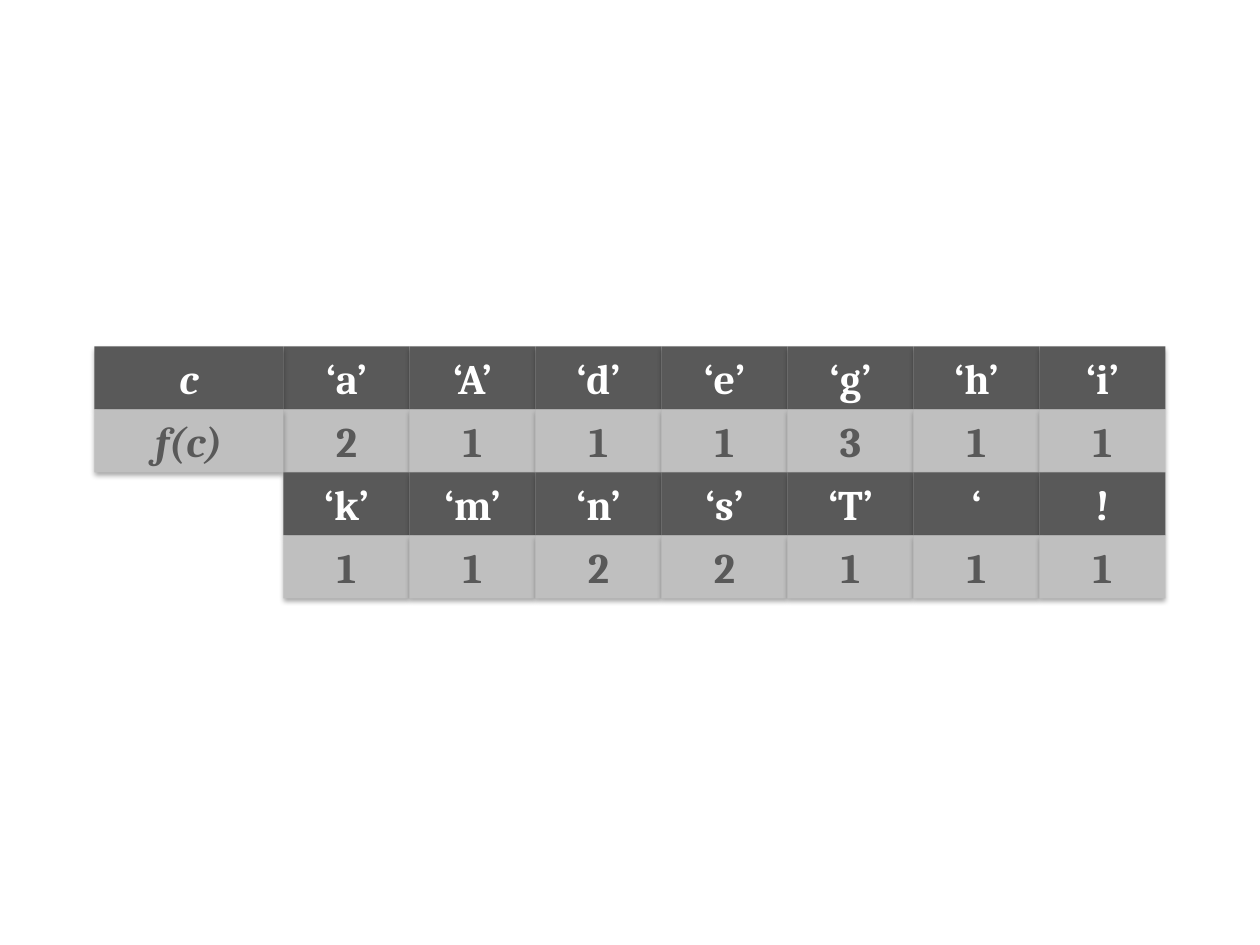
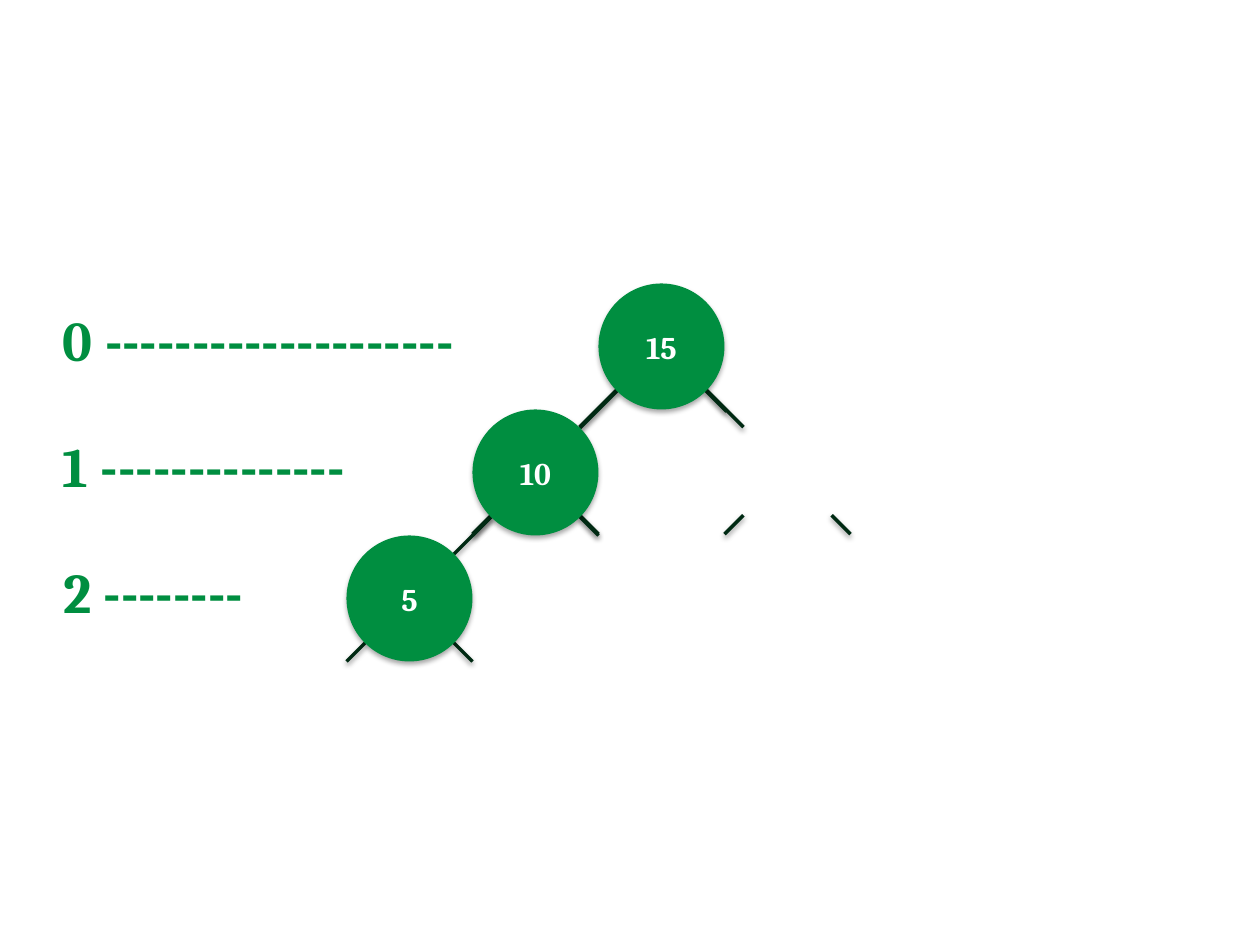
import pptx
import pptx.util
import pptx.dml.color
import pptx.enum.shapes
import pptx.enum.text
import pptx.oxml
import pptx.oxml.ns

Pt = pptx.util.Pt
SHAPES = pptx.enum.shapes.MSO_SHAPE
COLOURS = {
    "dark": "595959",
    "light": "BFBFBF",
    "white": "FFFFFF",
    "green": "008E40",
    "branch": "002A13",
    "shadow": "000000",
}


class Painter:
    font = {"name": "Cambria", "bold": True}

    def __init__(self):
        self.deck = pptx.Presentation()
        self.deck.slide_width = Pt(720)
        self.deck.slide_height = Pt(540)
        self.page = None

    def add_page(self):
        self.page = self.deck.slides.add_slide(self.deck.slide_layouts[6])

    def colour(self, name):
        return pptx.dml.color.RGBColor.from_string(COLOURS[name])

    def shadow(self, drawn, distance, opacity):
        namespace = pptx.oxml.ns.nsdecls("a")
        drawn._element.spPr.append(pptx.oxml.parse_xml(
            f'<a:effectLst {namespace}><a:outerShdw blurRad="{Pt(3.1)}" dist="{Pt(distance)}" '
            f'dir="5400000" rotWithShape="0"><a:srgbClr val="{COLOURS["shadow"]}">'
            f'<a:alpha val="{opacity * 1000}"/></a:srgbClr></a:outerShdw></a:effectLst>'))

    def add_text(self, box, text, colour, align, **style):
        box.text_frame.vertical_anchor = pptx.enum.text.MSO_ANCHOR.MIDDLE
        para = box.text_frame.paragraphs[0]
        para.alignment = align
        span = para.add_run()
        span.text = text
        for name, value in {**self.font, **style}.items():
            setattr(span.font, name, value)
        span.font.color.rgb = self.colour(colour)

    def block(self, kind, left, top, width, height, fill, text, ink, **style):
        box = self.page.shapes.add_shape(kind, Pt(left), Pt(top), Pt(width), Pt(height))
        box.fill.solid()
        box.fill.fore_color.rgb = self.colour(fill)
        box.line.fill.background()
        self.shadow(box, 1.8, 35)
        self.add_text(box, text, ink, pptx.enum.text.PP_ALIGN.CENTER, **style)

    def cell(self, left, top, width, text, header, italic=None):
        fill, ink = ("dark", "white") if header else ("light", "dark")
        self.block(SHAPES.RECTANGLE, left, top, width, 36, fill, text, ink,
                   size=Pt(24), italic=italic)

    def node(self, centre, text):
        x, y = centre
        self.block(SHAPES.OVAL, x - 36, y - 36, 72, 72, "green", text, "white", size=Pt(18))

    def branch(self, centre, side, length, lift=0):
        x, y = centre[0] + side * 25.2, centre[1] + 25.2 - lift
        line = self.page.shapes.add_connector(
            pptx.enum.shapes.MSO_CONNECTOR.STRAIGHT,
            Pt(x), Pt(y), Pt(x + side * length), Pt(y + length))
        line.line.color.rgb = self.colour("branch")
        line.line.width = Pt(2)
        self.shadow(line, 1.6, 38)

    def label(self, left, top, width, text):
        box = self.page.shapes.add_textbox(Pt(left), Pt(top), Pt(width), Pt(72))
        frame = box.text_frame
        frame.word_wrap = True
        for side in ("left", "top", "right", "bottom"):
            setattr(frame, f"margin_{side}", 0)
        self.add_text(box, text, "green", pptx.enum.text.PP_ALIGN.LEFT, size=Pt(32))


def frequency_table(painter):
    painter.add_page()
    rows = [
        ["‘a’", "‘A’", "‘d’", "‘e’", "‘g’", "‘h’", "‘i’"],
        ["2", "1", "1", "1", "3", "1", "1"],
        ["‘k’", "‘m’", "‘n’", "‘s’", "‘T’", "‘", "!"],
        ["1", "1", "2", "2", "1", "1", "1"],
    ]
    row_names = ["c", "f(c)"]
    for row, texts in enumerate(rows):
        top, header = 198 + row * 36, row % 2 == 0
        for column, text in enumerate(texts):
            painter.cell(162 + column * 72, top, 72, text, header)
        if row < len(row_names):
            painter.cell(54, top, 108, row_names[row], header, italic=True)


def tree_levels(painter):
    painter.add_page()
    root, child, leaf = [(378 - level * 72, 198 + level * 72) for level in range(3)]
    absent = (450, 270)
    left, right, edge, stub, lift = -1, 1, 21.6, 10.8, 0.72
    branches = [
        (absent, left, stub, lift), (absent, right, stub, lift),
        (root, right, edge, lift), (root, right, 12, 0),
        (root, left, edge, lift), (root, left, edge, 0),
        (child, left, stub, lift), (child, left, stub, 0), (child, left, edge, 0),
        (child, right, stub, lift), (child, right, stub, 0),
        (leaf, left, stub, 0), (leaf, right, stub, 0),
    ]
    for branch in branches:
        painter.branch(*branch)
    for centre, text in [(root, "15"), (child, "10"), (leaf, "5")]:
        painter.node(centre, text)
    for level, (width, dashes) in enumerate([(288, 20), (216, 14), (154.8, 8)]):
        painter.label(36, 157.68 + level * 72, width, f"{level} {'-' * dashes}")


def main():
    painter = Painter()
    frequency_table(painter)
    tree_levels(painter)
    painter.deck.save("out.pptx")


if __name__ == "__main__":
    main()
